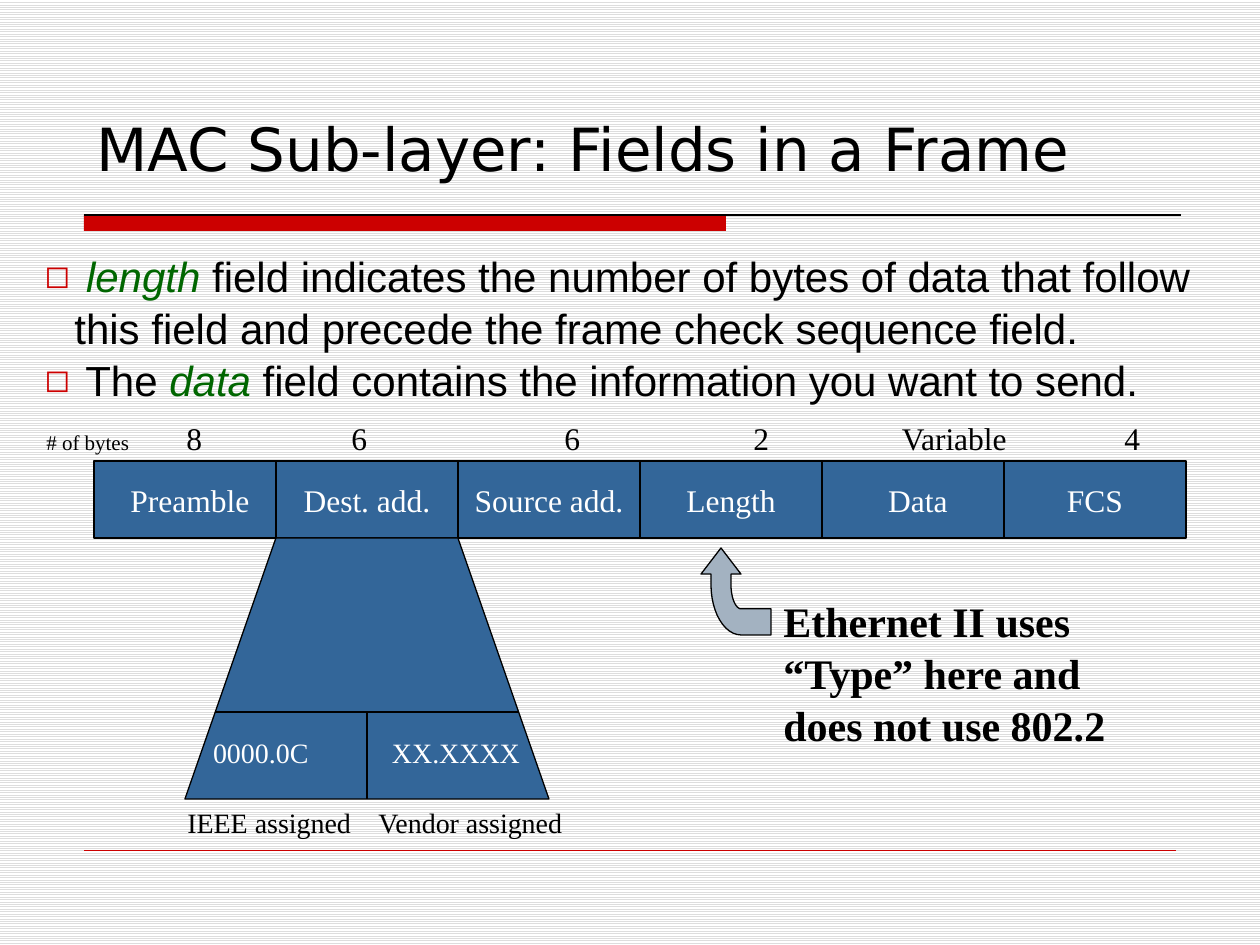
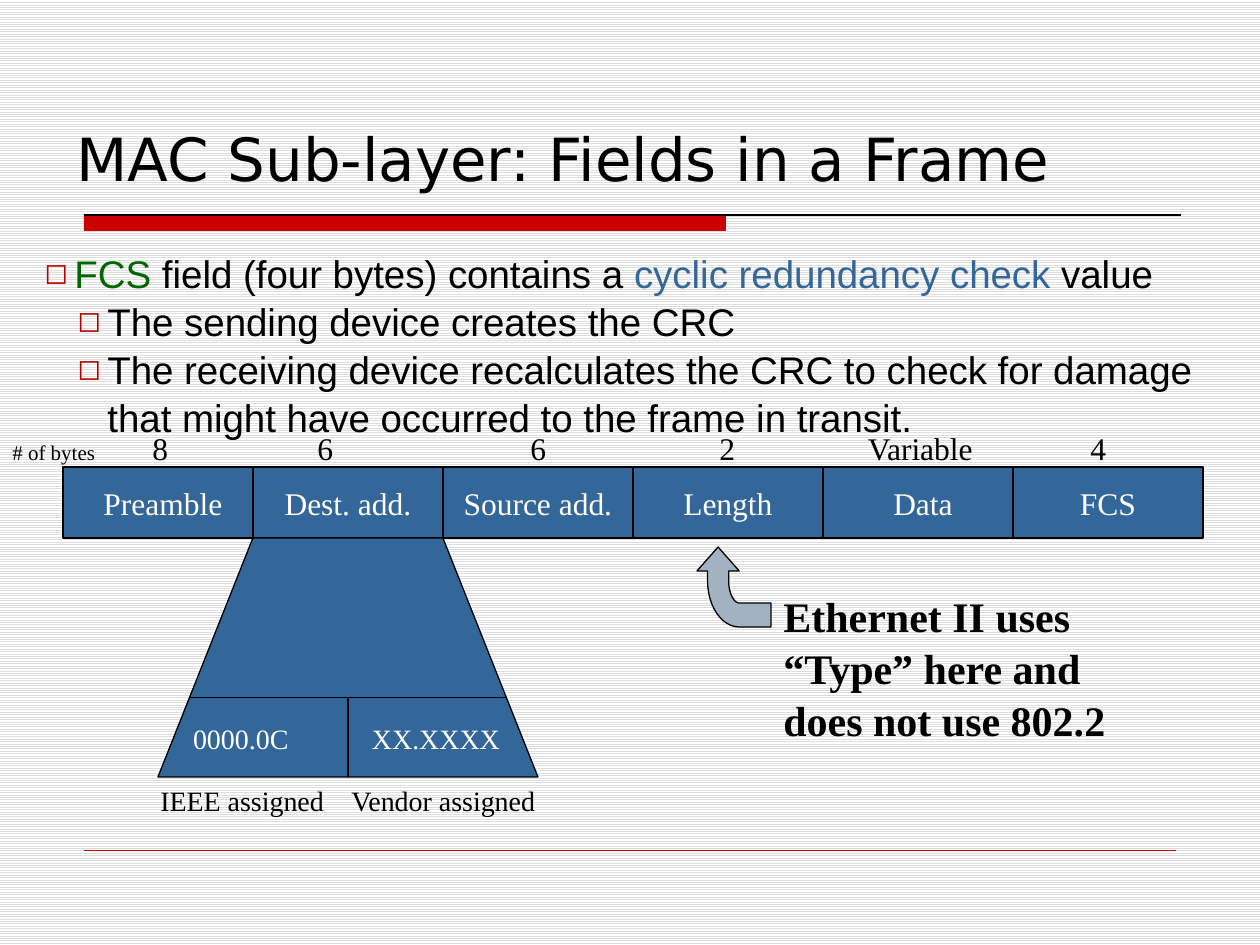
from lxml import etree
from pptx import Presentation
from pptx.dml.color import RGBColor
from pptx.enum.dml import MSO_PATTERN
from pptx.enum.shapes import MSO_CONNECTOR, MSO_SHAPE
from pptx.enum.text import MSO_ANCHOR, PP_ALIGN
from pptx.oxml.ns import qn
from pptx.util import Emu, Pt

SCALE = 914400 / 126
RECT = MSO_SHAPE.RECTANGLE
STRAIGHT = MSO_CONNECTOR.STRAIGHT
STRIPES = MSO_PATTERN.LIGHT_HORIZONTAL
LEFT, CENTER = PP_ALIGN.LEFT, PP_ALIGN.CENTER
TOP, MIDDLE, BOTTOM = MSO_ANCHOR.TOP, MSO_ANCHOR.MIDDLE, MSO_ANCHOR.BOTTOM
SANS, SERIF, HEADING = "Arial", "Times New Roman", "DejaVu Sans"
TITLE_ONLY = 5
COLORS = {
    "black": "000000", "white": "FFFFFF", "stripe": "DDDDDD", "red": "CC0000",
    "dark_red": "B90000", "green": "006600", "blue": "336699", "gray": "A3B2C1",
}
FIELDS = ["Preamble", "Dest. add.", "Source add.", "Length", "Data", "FCS"]
BYTES = ["8", "6", "6", "2", "Variable", "4"]
BYTE_TABS = [148, 313, 526, 715, 908, 1086]
WIDE_FIELDS = ("Preamble", "Data")
FRAME_BOTTOM = 538
NOTE_LEFT = 771


def px(value):
    return Emu(round(value * SCALE))


def rgb(name):
    return RGBColor.from_string(COLORS[name])


def curve(start, c1, c2, end, steps=12):
    points = []
    for i in range(1, steps + 1):
        t = i / steps
        weights = ((1 - t) ** 3, 3 * t * (1 - t) ** 2, 3 * t * t * (1 - t), t ** 3)
        points.append(tuple(sum(w * p[axis] for w, p in zip(weights, (start, c1, c2, end)))
                            for axis in (0, 1)))
    return points


def add_tabs(p, stops, align):
    tabs = etree.SubElement(p._p.get_or_add_pPr(), qn("a:tabLst"))
    for stop in stops:
        etree.SubElement(tabs, qn("a:tab"), pos=str(px(stop)), algn=align)


def add_bullet(p, color, level):
    pPr = p._p.get_or_add_pPr()
    pPr.set("marL", str(px(63 if level else 30)))
    pPr.set("indent", str(px(-30)))
    bu_clr = etree.SubElement(pPr, qn("a:buClr"))
    etree.SubElement(bu_clr, qn("a:srgbClr"), val=COLORS[color])
    etree.SubElement(pPr, qn("a:buSzPct"), val="75000")
    etree.SubElement(pPr, qn("a:buFont"), typeface=HEADING)
    etree.SubElement(pPr, qn("a:buChar"), char="◻")


def write(p, text, size=18, font=SERIF, color="black", bold=False, italic=False, align=LEFT):
    p.alignment = align
    r = p.add_run()
    r.text = text
    r.font.size = Pt(size)
    r.font.name = font
    r.font.bold = bold
    r.font.italic = italic
    r.font.color.rgb = rgb(color)


class Deck:
    def __init__(self):
        self.prs = Presentation()
        self.prs.slide_width, self.prs.slide_height = px(1260), px(945)
        fill = self.prs.slide_master.background.fill
        fill.patterned()
        fill.pattern = STRIPES
        fill.fore_color.rgb = rgb("stripe")
        fill.back_color.rgb = rgb("white")
        self.s = None

    def add_slide(self, title, x, y, w):
        self.s = self.prs.slides.add_slide(self.prs.slide_layouts[TITLE_ONLY])
        self.rect(84, 215, 642, 16, "red", outline=False)
        self.line(84, 215, 1181, 215)
        self.line(84, 850, 1176, 850, "red", 0.25)
        sp = self.s.shapes.title
        sp.left, sp.top, sp.width, sp.height = px(x), px(y), px(w), px(94)
        tf = self.frame(sp, BOTTOM)
        write(tf.paragraphs[0], title, size=34, font=HEADING)

    def frame(self, sp, anchor=TOP, wrap=True):
        tf = sp.text_frame
        tf.word_wrap = wrap
        tf.vertical_anchor = anchor
        tf.margin_left = tf.margin_right = Pt(7.2)
        tf.margin_top = tf.margin_bottom = Pt(3.6)
        return tf

    def textbox(self, x, y, w, h):
        return self.frame(self.s.shapes.add_textbox(px(x), px(y), px(w), px(h)))

    def paint(self, sp, fill, outline=True):
        sp.shadow.inherit = False
        sp.fill.solid()
        sp.fill.fore_color.rgb = rgb(fill)
        if outline:
            sp.line.color.rgb = rgb("black")
            sp.line.width = Pt(0.75)
        else:
            sp.line.fill.background()

    def rect(self, x, y, w, h, fill, outline=True):
        sp = self.s.shapes.add_shape(RECT, px(x), px(y), px(w), px(h))
        self.paint(sp, fill, outline)
        return sp

    def line(self, x1, y1, x2, y2, color="black", width=0.75):
        cn = self.s.shapes.add_connector(STRAIGHT, px(x1), px(y1), px(x2), px(y2))
        cn.line.color.rgb = rgb(color)
        cn.line.width = Pt(width)
        etree.SubElement(cn._element.spPr, qn("a:effectLst"))

    def polygon(self, points, fill):
        builder = self.s.shapes.build_freeform(*map(px, points[0]))
        builder.add_line_segments([(px(x), px(y)) for x, y in points[1:]], close=True)
        self.paint(builder.convert_to_shape(), fill)

    def bullets(self, height, size, color, items):
        tf = self.textbox(32, 242, 1228, height)
        for i, (level, runs) in enumerate(items):
            p = tf.paragraphs[0] if i == 0 else tf.add_paragraph()
            p.level = level
            p.line_spacing = 1.04
            add_bullet(p, color, level)
            for text, style in runs:
                write(p, text, size=size, font=SANS, **style)

    def bent_arrow(self, x, y, w, h):
        outer = curve((2, 4.2), (2, 7.4), (4.7, 10), (8, 10))
        inner = curve((8, 7), (7, 7), (6, 5.8), (6, 4.2))
        grid = [(4, 0), (0, 3), (2, 3), (2, 4.2), *outer,
                (14, 10), (14, 7), (8, 7), *inner, (6, 3), (8, 3)]
        self.polygon([(x + gx * w / 14, y + gy * h / 10) for gx, gy in grid], "gray")

    def frame_fields(self, left, top, pitch):
        for i, name in enumerate(FIELDS):
            width = pitch + 10 * (name in WIDE_FIELDS)
            sp = self.rect(left + i * pitch, top, width, FRAME_BOTTOM - top, "blue")
            tf = self.frame(sp, MIDDLE, wrap=False)
            write(tf.paragraphs[0], name, color="white", align=CENTER)

    def byte_counts(self, x, y):
        p = self.textbox(x, y, 1200, 50).paragraphs[0]
        add_tabs(p, BYTE_TABS, "ctr")
        write(p, "# of bytes", size=12)
        write(p, "".join("\t" + count for count in BYTES))

    def address_detail(self, left, pitch, bottom, text_left):
        height = bottom - FRAME_BOTTOM
        split = FRAME_BOTTOM + height * 2 / 3
        middle = left + pitch * 3 / 2
        self.polygon([(left + pitch, FRAME_BOTTOM), (left + pitch * 2, FRAME_BOTTOM),
                      (left + pitch * 5 / 2, bottom), (left + pitch / 2, bottom)], "blue")
        self.line(left + pitch * 2 / 3, split, left + pitch * 7 / 3, split)
        sp = self.rect(text_left, split + 21, 308, 39, "blue", outline=False)
        tf = self.frame(sp, MIDDLE)
        tf.margin_left = tf.margin_right = 0
        add_tabs(tf.paragraphs[0], [179], "l")
        write(tf.paragraphs[0], "0000.0C\tXX.XXXX", size=16, color="white")
        p = self.textbox(left + pitch / 2 - 10, bottom, 420, 46).paragraphs[0]
        add_tabs(p, [191], "l")
        write(p, "IEEE assigned\tVendor assigned", size=16)
        self.line(middle, split, middle, bottom)

    def type_note(self, y):
        p = self.textbox(NOTE_LEFT, y, 353, 164).paragraphs[0]
        p.line_spacing = 1.04
        write(p, "Ethernet II uses “Type” here and does not use 802.2", size=24, bold=True)


def main():
    deck = Deck()
    title = "MAC Sub-layer: Fields in a Frame"
    green, term, plain = {"color": "green"}, {"color": "green", "italic": True}, {}

    deck.add_slide(title, 84, 96, 1205 - 29)
    deck.bullets(165, 24, "red", [
        (0, [(" length ", term),
             ("field indicates the number of bytes of data that follow this field "
              "and precede the frame check sequence field.", plain)]),
        (0, [(" The ", plain), ("data", term),
             (" field contains the information you want to send.", plain)]),
    ])
    deck.frame_fields(94, 461, 182)
    deck.byte_counts(34, 413)
    deck.bent_arrow(701, 548, 70, 87)
    deck.type_note(587)
    deck.address_detail(94, 182, 799, 213)

    deck.add_slide(title, 64, 106, 1057)
    deck.bullets(199, 22, "dark_red", [
        (0, [("FCS ", green), ("field (four bytes) contains a ", plain),
             ("cyclic redundancy check", {"color": "blue"}), (" value", plain)]),
        (1, [("The sending device creates the CRC", plain)]),
        (1, [("The receiving device recalculates the CRC to check for damage that might "
              "have occurred to the frame in transit.", plain)]),
    ])
    deck.frame_fields(63, 467, 190)
    deck.byte_counts(0, 423)
    deck.bent_arrow(697, 547, 74, 80)
    deck.type_note(582)
    deck.address_detail(63, 190, 777, 193)

    deck.prs.save("out.pptx")


if __name__ == "__main__":
    main()
